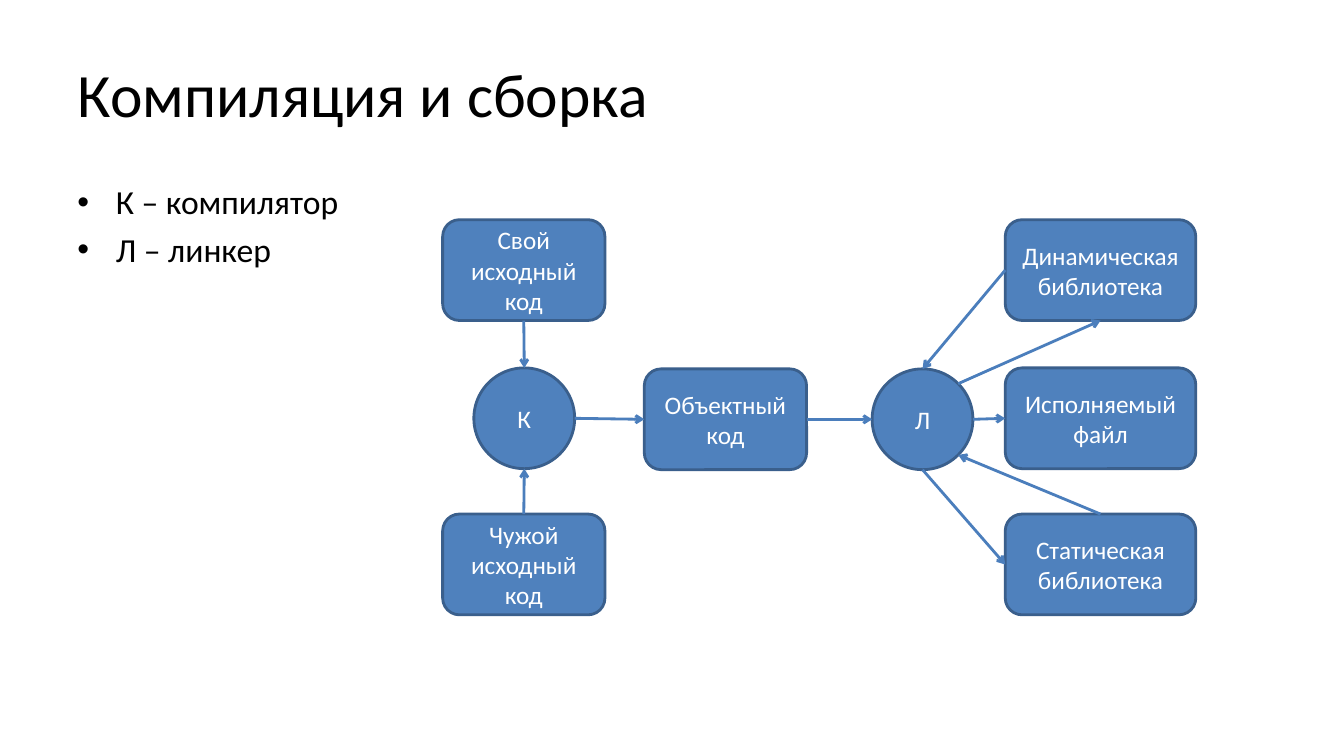
import math
from dataclasses import dataclass

import lxml.etree
import pptx
import pptx.dml.color
import pptx.enum.shapes
import pptx.enum.text
import pptx.oxml.ns
import pptx.util

Inches = pptx.util.Inches
Pt = pptx.util.Pt
qn = pptx.oxml.ns.qn
SHAPES = pptx.enum.shapes.MSO_SHAPE
ALIGN = pptx.enum.text.PP_ALIGN
ANCHOR = pptx.enum.text.MSO_ANCHOR

COLORS = {
    "text": "000000",
    "node_text": "FFFFFF",
    "node_fill": "4F81BD",
    "node_line": "3A5F8C",
    "arrow": "4B7EBC",
}
TOP, LEFT, BOTTOM, RIGHT = range(4)
NODE_HEIGHT = 1.0


@dataclass(frozen=True)
class Node:
    text: str
    left: float
    top: float
    width: float
    round: bool = False


@dataclass(frozen=True)
class End:
    """An arrow end: a side of a rectangle, or a clockwise angle on a circle."""
    node: str
    place: int


@dataclass(frozen=True)
class Arrow:
    start: End
    finish: End


NODES = {
    "linker": Node("Л", 8.65, 3.66, 1, True),
    "compiler": Node("К", 4.7, 3.65, 1, True),
    "executable": Node("Исполняемый файл", 9.97, 3.65, 1.89),
    "dynamic": Node("Динамическая библиотека", 9.97, 2.18, 1.89),
    "static": Node("Статическая библиотека", 9.97, 5.1, 1.89),
    "object": Node("Объектный код", 6.39, 3.66, 1.61),
    "own": Node("Свой исходный код", 4.39, 2.18, 1.61),
    "foreign": Node("Чужой исходный код", 4.39, 5.1, 1.61),
}
ARROWS = [
    Arrow(End("own", BOTTOM), End("compiler", -90)),
    Arrow(End("foreign", TOP), End("compiler", 90)),
    Arrow(End("compiler", 0), End("object", LEFT)),
    Arrow(End("object", RIGHT), End("linker", 180)),
    Arrow(End("linker", 0), End("executable", LEFT)),
    Arrow(End("linker", -45), End("dynamic", BOTTOM)),
    Arrow(End("dynamic", LEFT), End("linker", -90)),
    Arrow(End("linker", 90), End("static", LEFT)),
    Arrow(End("static", TOP), End("linker", 45)),
]


def rgb(name: str) -> pptx.dml.color.RGBColor:
    return pptx.dml.color.RGBColor.from_string(COLORS[name])


def place(shape, left: float, top: float, width: float, height: float) -> None:
    frame = {"left": left, "top": top, "width": width, "height": height}
    for name, value in frame.items():
        setattr(shape, name, Inches(value))


def write(para, text: str, size: float, color: str) -> None:
    span = para.add_run()
    span.text = text
    for name, value in {"name": "Calibri", "size": Pt(size)}.items():
        setattr(span.font, name, value)
    span.font.color.rgb = rgb(color)


def add_title(page, text: str) -> None:
    title = page.shapes.title
    place(title, 0.67, 0.3, 12, 1.25)
    title.text_frame.vertical_anchor = ANCHOR.MIDDLE
    para = title.text_frame.paragraphs[0]
    para.alignment = ALIGN.LEFT
    write(para, text, 44, "text")


def add_legend(page, lines: list[str]) -> None:
    box = page.shapes.add_textbox(
        Inches(0.67), Inches(1.75), Inches(5.89), Inches(4.95))
    box.text_frame.word_wrap = True
    for index, line in enumerate(lines):
        para = box.text_frame.paragraphs[0] if index == 0 else box.text_frame.add_paragraph()
        properties = para._p.get_or_add_pPr()
        indent = Inches(0.38)
        properties.set("marL", str(indent))
        properties.set("indent", str(-indent))
        lxml.etree.SubElement(properties, qn("a:buFont"), typeface="Arial")
        lxml.etree.SubElement(properties, qn("a:buChar"), char="•")
        if index:
            para.space_before = Pt(4.8)
        write(para, line, 24, "text")


def add_node(page, node: Node):
    kind = SHAPES.OVAL if node.round else SHAPES.ROUNDED_RECTANGLE
    shape = page.shapes.add_shape(
        kind, Inches(node.left), Inches(node.top), Inches(node.width), Inches(NODE_HEIGHT))
    shape.shadow.inherit = False
    shape.fill.solid()
    shape.fill.fore_color.rgb = rgb("node_fill")
    shape.line.color.rgb = rgb("node_line")
    shape.line.width = Pt(2)
    frame = shape.text_frame
    for name, value in {"word_wrap": True, "vertical_anchor": ANCHOR.MIDDLE}.items():
        setattr(frame, name, value)
    para = frame.paragraphs[0]
    para.alignment = ALIGN.CENTER
    write(para, node.text, 18, "node_text")
    return shape


def circle_point(end: End) -> tuple[float, float]:
    """Return the circle's rim point, or its centre for a rectangle."""
    node = NODES[end.node]
    radius = node.width / 2 if node.round else 0
    angle = math.radians(end.place)
    return (node.left + node.width / 2 + radius * math.cos(angle),
            node.top + NODE_HEIGHT / 2 + radius * math.sin(angle))


def add_arrow(page, arrow: Arrow, shapes: dict) -> None:
    points = [Inches(value) for end in (arrow.start, arrow.finish) for value in circle_point(end)]
    line = page.shapes.add_connector(pptx.enum.shapes.MSO_CONNECTOR.STRAIGHT, *points)
    for end, connect in ((arrow.start, line.begin_connect), (arrow.finish, line.end_connect)):
        if not NODES[end.node].round:
            connect(shapes[end.node], end.place)
    line.line.color.rgb = rgb("arrow")
    line.line.width = Pt(2)
    lxml.etree.SubElement(line.line._get_or_add_ln(), qn("a:tailEnd"), type="arrow")
    lxml.etree.SubElement(line._element.spPr, qn("a:effectLst"))


def main() -> None:
    deck = pptx.Presentation()
    deck.slide_width, deck.slide_height = Inches(13.33), Inches(7.5)
    page = deck.slides.add_slide(deck.slide_layouts.get_by_name("Title Only"))
    add_title(page, "Компиляция и сборка")
    add_legend(page, ["К – компилятор", "Л – линкер"])
    shapes = {key: add_node(page, node) for key, node in NODES.items()}
    for arrow in ARROWS:
        add_arrow(page, arrow, shapes)
    deck.save("out.pptx")


if __name__ == "__main__":
    main()
